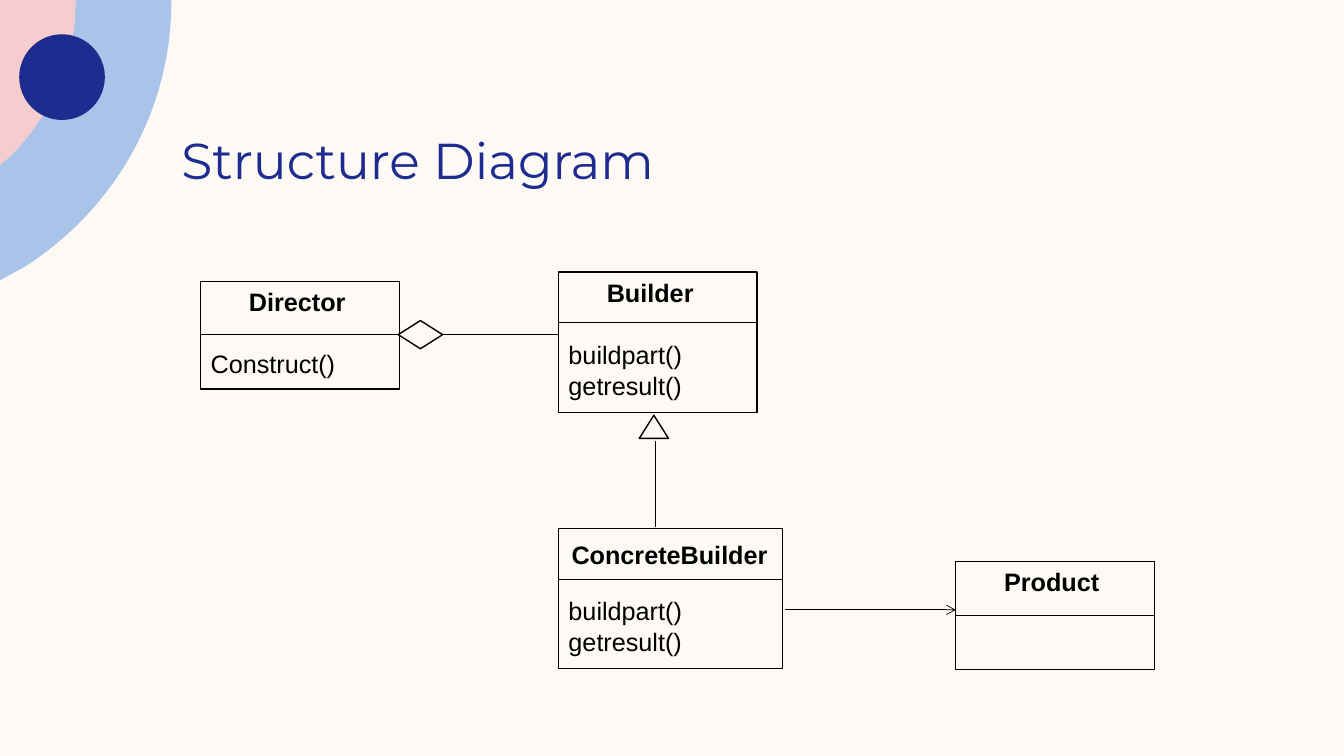
"""Build the Builder pattern structure diagram slide."""
from lxml.etree import SubElement
from pptx import Presentation
from pptx.dml.color import RGBColor
from pptx.enum.shapes import MSO_CONNECTOR, MSO_SHAPE as SHAPE
from pptx.enum.text import MSO_AUTO_SIZE as AUTO
from pptx.oxml.ns import qn
from pptx.util import Inches, Pt

CREAM, BLUE, PINK, NAVY, BLACK = "FDFAF6", "AAC3E8", "F5CDCE", "1F2C8F", "000000"


def style(sp, fill=None, line=None):
    sp.shadow.inherit = False
    if fill:
        sp.fill.solid()
        sp.fill.fore_color.rgb = RGBColor.from_string(fill)
    else:
        sp.fill.background()
    if line:
        sp.line.color.rgb = RGBColor.from_string(line)
        sp.line.width = Pt(1)
    else:
        sp.line.fill.background()


def add_text(box, text, size, font, color, bold=False, wrap=True):
    sp = s.shapes.add_textbox(*map(Inches, box))
    tf = sp.text_frame
    tf.word_wrap = wrap
    tf.text = text
    for p in tf.paragraphs:
        for r in p.runs:
            r.font.size, r.font.name, r.font.bold = Pt(size), font, bold
            r.font.color.rgb = RGBColor.from_string(color)
    return tf


prs = Presentation()
prs.slide_width, prs.slide_height = Inches(13.33), Inches(7.5)
s = prs.slides.add_slide(prs.slide_layouts[6])
s.background.fill.solid()
s.background.fill.fore_color.rgb = RGBColor.from_string(CREAM)

outer_arc = [(1.7, 0.01), (1.7, 1.12), (1.12, 2.09), (0.24, 2.65)]
inner_arc = [(0.74, 0.22), (0.68, 0.73), (0.46, 1.19), (0.11, 1.54)]
ring = [(0.75, 0), (1.7, 0), *outer_arc, (0, 2.78), (0, 1.64), *reversed(inner_arc)]
sector = [(0, 0), (0.75, 0), *inner_arc, (0, 1.64)]
for outline, curve_starts, color in ((ring, (2, 8), BLUE), (sector, (2,), PINK)):
    points = [(Inches(x), Inches(y)) for x, y in outline]
    builder = s.shapes.build_freeform(*points[0])
    builder.add_line_segments(points[1:], close=True)
    sp = builder.convert_to_shape()
    style(sp, color)
    segments = list(sp._element.iter(qn("a:lnTo")))
    for i in curve_starts:
        first, *rest = segments[i:i + 3]
        first.tag = qn("a:cubicBezTo")
        for segment in rest:
            first.append(segment[0])
            segment.getparent().remove(segment)
style(s.shapes.add_shape(SHAPE.OVAL, *map(Inches, (0.19, 0.34, 0.85, 0.85))), NAVY)

tf = add_text((1.7, 1.28, 10.8, 0.93), "Structure Diagram", 36, "Montserrat", NAVY)
tf.margin_top = tf.margin_bottom = 0
tf.paragraphs[0].space_after = Pt(12)

classes = [
    ("Director", (1.99, 2.79, 1.97, 1.07), 0.53, (0.38, 0, 1.22), "Construct()"),
    ("Builder", (5.54, 2.7, 1.97, 1.39), 0.5, (0.38, 0, 1.22), "buildpart()\ngetresult()"),
    ("ConcreteBuilder", (5.54, 5.24, 2.22, 1.39), 0.51, (0.03, 0.06, 2.22), "buildpart()\ngetresult()"),
    ("Product", (9.48, 5.57, 1.97, 1.07), 0.53, (0.38, 0, 1.22), ""),
]
lines = []
for name, (x, y, w, h), divider, (dx, dy, name_w), methods in classes:
    style(s.shapes.add_shape(SHAPE.RECTANGLE, *map(Inches, (x, y, w, h))), CREAM, BLACK)
    add_text((x + dx, y + dy, name_w, 0.4), name, 18, "Arial", BLACK, bold=True)
    if methods:
        method_w, method_h = (1.34, 0.71) if "\n" in methods else (1.45, 0.4)
        tf = add_text((x, y + 0.62, method_w, method_h), methods, 18, "Arial", BLACK, wrap=False)
        tf.auto_size = AUTO.SHAPE_TO_FIT_TEXT
    lines.append((x, y + divider, x + w, y + divider))

diamond = s.shapes.add_shape(SHAPE.FLOWCHART_DECISION, *map(Inches, (3.95, 3.18, 0.44, 0.28)))
style(diamond, None, BLACK)
triangle = s.shapes.add_shape(SHAPE.ISOSCELES_TRIANGLE, *map(Inches, (6.34, 4.12, 0.29, 0.23)))
style(triangle, CREAM, BLACK)

lines += [(6.5, 4.38, 6.5, 5.23), (4.39, 3.32, 5.54, 3.32), (7.79, 6.05, 9.48, 6.05)]
connectors = []
for ends in lines:
    c = s.shapes.add_connector(MSO_CONNECTOR.STRAIGHT, *map(Inches, ends))
    c.line.color.rgb = RGBColor.from_string(BLACK)
    c.line.width = Pt(0.5)
    SubElement(c._element.spPr, qn("a:effectLst"))
    connectors.append(c)
aggregation, creation = connectors[-2:]
aggregation.begin_connect(diamond, 3)
SubElement(creation.line._get_or_add_ln(), qn("a:tailEnd"), type="arrow")

prs.save("out.pptx")
